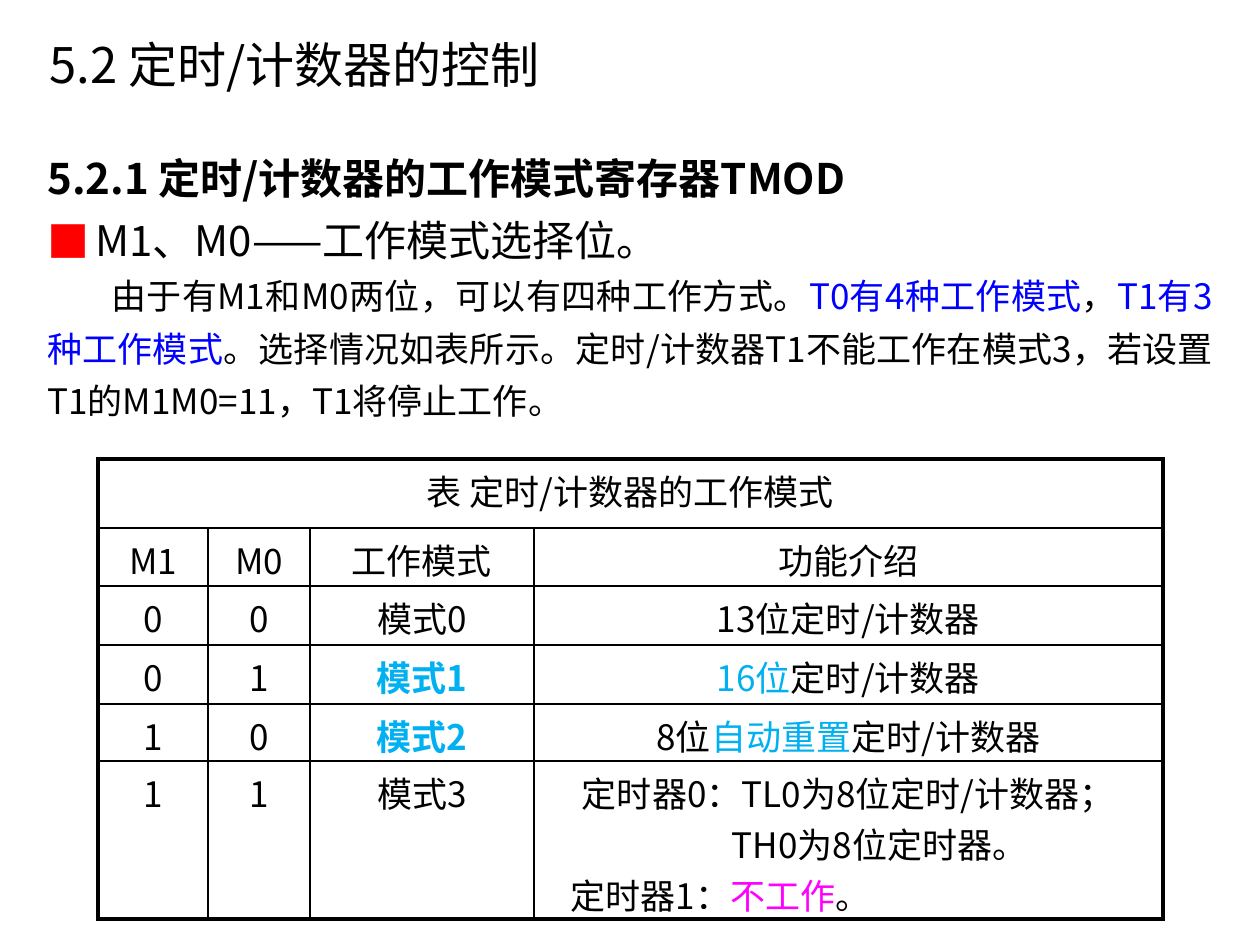
from dataclasses import dataclass

from lxml import etree
from pptx import Presentation
from pptx import util as u
from pptx.dml.color import RGBColor
from pptx.enum import text
from pptx.oxml.ns import qn


@dataclass(frozen=True)
class Theme:
    """Colours, font and type sizes of the slide."""
    font: str = "Noto Sans CJK SC"
    ink: str = "000000"
    bullet: str = "FF0000"
    blue: str = "0000FF"
    cyan: str = "00B0F0"
    pink: str = "FF00FF"
    title: int = 28
    heading: int = 24
    body: int = 20
    spacing: float = 1.24
    outer: float = 2.25
    inner: float = 1


T = Theme()
COLS = [110, 102, 224, 629]
ROWS = [69, 58, 59, 59, 57, 158]


def px(n):
    """Turn pixels into EMU."""
    return u.Emu(round(n * 914400 / 126))


def add_run(p, words, size=T.body, color=T.ink, bold=False):
    """Add one formatted run to a paragraph."""
    r = p.add_run()
    r.text = words
    r.font.size = u.Pt(size)
    r.font.bold = bold
    r.font.color.rgb = RGBColor.from_string(color)
    r.font.name = T.font
    ea = etree.Element(qn("a:ea"), typeface=T.font)
    r.font._element.find(qn("a:latin")).addnext(ea)


def set_indent(p, left, first=0):
    """Set the left margin and first-line indent of a paragraph."""
    pPr = p._p.get_or_add_pPr()
    pPr.set("marL", str(px(left)))
    pPr.set("indent", str(px(first)))
    return pPr


def add_bullet(p, char, width):
    """Give a paragraph a coloured hanging bullet."""
    pPr = set_indent(p, width, -width)
    clr = etree.SubElement(pPr, qn("a:buClr"))
    etree.SubElement(clr, qn("a:srgbClr"), val=T.bullet)
    etree.SubElement(pPr, qn("a:buFont"), typeface=T.font)
    etree.SubElement(pPr, qn("a:buChar"), char=char)


def add_title(s, words):
    """Place and format the title placeholder."""
    sp = s.shapes.title
    sp.left, sp.top, sp.width, sp.height = map(px, (37, 28, 1188, 72))
    tf = sp.text_frame
    tf.word_wrap = True
    tf.auto_size = text.MSO_AUTO_SIZE.NONE
    tf.vertical_anchor = text.MSO_ANCHOR.MIDDLE
    p = tf.paragraphs[0]
    p.alignment = text.PP_ALIGN.LEFT
    add_run(p, words, T.title)


def add_body(s):
    """Add the heading, the bullet and the explanation."""
    tf = s.shapes.add_textbox(*map(px, (35, 102, 1190, 357))).text_frame
    tf.word_wrap = True
    tf.vertical_anchor = text.MSO_ANCHOR.MIDDLE
    heading, item, para = tf.paragraphs[0], tf.add_paragraph(), tf.add_paragraph()
    add_bullet(item, "■", 48)
    set_indent(para, 0, 64)
    for p in (heading, item, para):
        p.alignment = text.PP_ALIGN.JUSTIFY
        p.line_spacing = T.spacing
    add_run(heading, "5.2.1 定时/计数器的工作模式寄存器TMOD", T.heading, bold=True)
    add_run(item, "M1、M0——工作模式选择位。", T.heading)
    for words, color in [
        ("由于有M1和M0两位，可以有四种工作方式。", T.ink),
        ("T0有4种工作模式", T.blue),
        ("，", T.ink),
        ("T1有3种工作模式", T.blue),
        ("。选择情况如表所示。定时/计数器T1不能工作在模式3，若设置T1的M1M0=11，T1将停止工作。", T.ink),
    ]:
        add_run(para, words, color=color)


def set_borders(cell, outer_sides):
    """Draw the four borders, heavier on the outer sides."""
    tcPr = cell._tc.get_or_add_tcPr()
    for i, side in enumerate("LRTB"):
        width = T.outer if side in outer_sides else T.inner
        ln = etree.Element(qn(f"a:ln{side}"), w=str(u.Pt(width)))
        fill = etree.SubElement(ln, qn("a:solidFill"))
        etree.SubElement(fill, qn("a:srgbClr"), val=T.ink)
        tcPr.insert(i, ln)


def fill_cell(cell, paragraphs):
    """Write centred paragraphs, each a list of run arguments."""
    tf = cell.text_frame
    for i, runs in enumerate(paragraphs):
        p = tf.add_paragraph() if i else tf.paragraphs[0]
        p.alignment = text.PP_ALIGN.CENTER
        for words, *style in runs:
            add_run(p, words, T.body, *style)


def add_mode_table(s):
    """Add the table of working modes."""
    frame = s.shapes.add_table(len(ROWS), len(COLS), px(98), px(459),
                               px(sum(COLS)), px(sum(ROWS)))
    tbl = frame.table
    tbl.first_row = tbl.horz_banding = False
    for col, w in zip(tbl.columns, COLS):
        col.width = px(w)
    for row, h in zip(tbl.rows, ROWS):
        row.height = px(h)
    tbl.cell(0, 0).merge(tbl.cell(0, 3))

    timer = "定时/计数器"
    modes = [
        ("M1", "M0", ("工作模式",), [[("功能介绍",)]]),
        ("0", "0", ("模式0",), [[("13位" + timer,)]]),
        ("0", "1", ("模式1", T.cyan, True), [[("16位", T.cyan), (timer,)]]),
        ("1", "0", ("模式2", T.cyan, True),
         [[("8位",), ("自动重置", T.cyan), (timer,)]]),
        ("1", "1", ("模式3",),
         [[("定时器0：TL0为8位定时/计数器；",)],
          [("TH0为8位定时器。",)],
          [("定时器1：",), ("不工作", T.pink), ("。",)]]),
    ]
    fill_cell(tbl.cell(0, 0), [[("表 定时/计数器的工作模式",)]])
    for i, (m1, m0, mode, function) in enumerate(modes, 1):
        for j, content in enumerate(([[(m1,)]], [[(m0,)]], [[mode]], function)):
            fill_cell(tbl.cell(i, j), content)

    _, high_byte, timer1 = tbl.cell(5, 3).text_frame.paragraphs
    set_indent(high_byte, 62)
    set_indent(timer1, 24)
    timer1.alignment = text.PP_ALIGN.LEFT

    for i in range(len(ROWS)):
        for j in range(len(COLS)):
            cell = tbl.cell(i, j)
            cell.margin_top, cell.margin_bottom = px(6), 0
            cell.fill.background()
            sides = {"L": j == 0, "R": j == 3 or i == 0, "T": i == 0, "B": i == 5}
            set_borders(cell, [side for side, outer in sides.items() if outer])


def main():
    """Build and save the slide."""
    prs = Presentation()
    prs.slide_width, prs.slide_height = px(1260), px(945)
    s = prs.slides.add_slide(prs.slide_layouts[5])
    add_title(s, "5.2 定时/计数器的控制")
    add_body(s)
    add_mode_table(s)
    prs.save("out.pptx")


if __name__ == "__main__":
    main()
